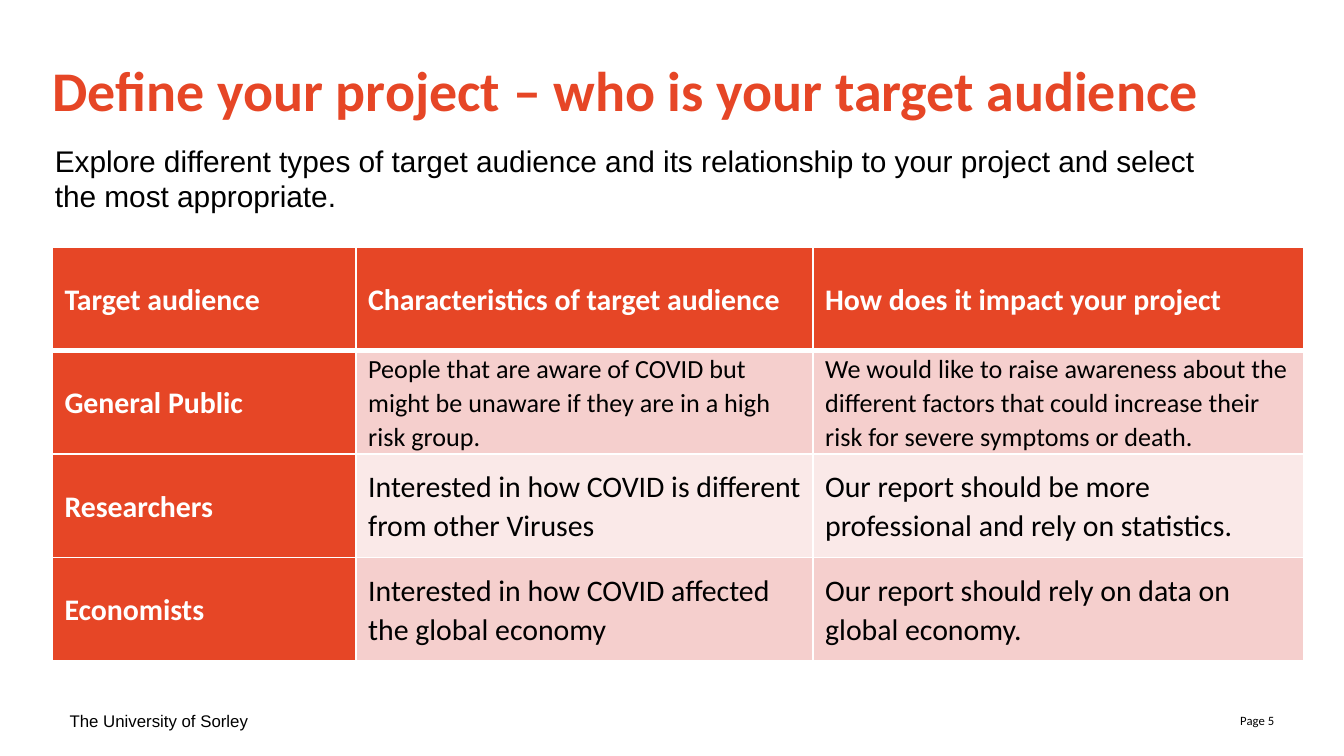
from lxml import etree
from pptx import Presentation
from pptx.dml.color import RGBColor
from pptx.enum import text
from pptx.oxml.ns import qn
from pptx.util import Inches, Pt

ORANGE = RGBColor(0xE6, 0x46, 0x26)
ROSE = RGBColor(0xF5, 0xCF, 0xCD)
BLUSH = RGBColor(0xFA, 0xE9, 0xE8)
WHITE = RGBColor(0xFF, 0xFF, 0xFF)
BLACK = RGBColor(0, 0, 0)

ROWS = [
    ("Target audience", "Characteristics of target audience", "How does it impact your project"),
    ("General Public",
     "People that are aware of COVID but might be unaware if they are in a high risk group.",
     "We would like to raise awareness about the different factors that could increase "
     "their risk for severe symptoms or death."),
    ("Researchers", "Interested in how COVID is different from other Viruses",
     "Our report should be more professional and rely on statistics."),
    ("Economists", "Interested in how COVID affected the global economy",
     "Our report should rely on data on global economy."),
]
COL_WIDTHS = (2.26, 3.4, 3.65)
ROW_HEIGHT = 0.77


def add_run(p, words, size, font="Calibri", color=BLACK, bold=False):
    r = p.add_run()
    r.text = words
    r.font.size, r.font.name, r.font.bold = Pt(size), font, bold
    r.font.color.rgb = color


def add_text(s, box, lines, size, anchor=text.MSO_ANCHOR.TOP, align=text.PP_ALIGN.LEFT,
             inset=None, wrap=True, **style):
    tf = s.shapes.add_textbox(*map(Inches, box)).text_frame
    tf.word_wrap, tf.vertical_anchor = wrap, anchor
    if inset is not None:
        tf.margin_left = tf.margin_top = tf.margin_right = tf.margin_bottom = Inches(inset)
    for i, line in enumerate(lines):
        p = tf.add_paragraph() if i else tf.paragraphs[0]
        p.alignment = align
        add_run(p, line, size, **style)


def add_borders(cell, bottom):
    """Draw white cell borders; they must precede the fill in the cell's XML."""
    tcPr = cell._tc.get_or_add_tcPr()
    for i, (side, width) in enumerate((("L", 1), ("R", 1), ("T", 1), ("B", bottom))):
        ln = etree.Element(qn(f"a:ln{side}"), w=str(Pt(width)))
        fill = etree.SubElement(ln, qn("a:solidFill"))
        etree.SubElement(fill, qn("a:srgbClr"), val=str(WHITE))
        tcPr.insert(i, ln)


def add_audience_table(s, left, top):
    box = (left, top, sum(COL_WIDTHS), ROW_HEIGHT * len(ROWS))
    table = s.shapes.add_table(len(ROWS), len(COL_WIDTHS), *map(Inches, box)).table
    for column, width in zip(table.columns, COL_WIDTHS):
        column.width = Inches(width)
    for i, row in enumerate(ROWS):
        table.rows[i].height = Inches(ROW_HEIGHT)
        for j, words in enumerate(row):
            cell = table.cell(i, j)
            heading = i == 0 or j == 0
            cell.fill.solid()
            cell.fill.fore_color.rgb = ORANGE if heading else ROSE if i % 2 else BLUSH
            cell.vertical_anchor = text.MSO_ANCHOR.MIDDLE
            cell.margin_left = cell.margin_right = Inches(0.09)
            cell.margin_top = cell.margin_bottom = 0
            add_borders(cell, 3 if i == 0 else 1)
            p = cell.text_frame.paragraphs[0]
            p.line_spacing = 1.07
            add_run(p, words, 14 if i == 1 and not heading else 16,
                    color=WHITE if heading else BLACK, bold=heading)


def add_header(s, left, top):
    add_text(s, (left, top, 9.22, 0.53), ["Define your project – who is your target audience"],
             30, inset=0, color=ORANGE, bold=True)
    add_text(s, (left - 0.08, top + 0.6, 8.86, 0.91),
             ["Explore different types of target audience and its relationship to your project and select",
              "the most appropriate."], 16, font="Arial", wrap=False)


def add_footer(s, left, top, width):
    w, h = 2.33, 0.3
    middle = text.MSO_ANCHOR.MIDDLE
    add_text(s, (left, top, w, h), ["The University of Sorley"], 9, middle, font="Arial")
    add_text(s, (left + width - w, top, w, h), ["Page 5"], 6.8, middle, text.PP_ALIGN.RIGHT)


def main():
    prs = Presentation()
    prs.slide_width = Inches(10)
    prs.slide_height = prs.slide_width * 9 // 16
    s = prs.slides.add_slide(prs.slide_layouts[6])
    add_header(s, 0.39, 0.41)
    add_audience_table(s, 0.39, 1.84)
    add_footer(s, 0.42, 5.21, 9.16)
    prs.save("out.pptx")


if __name__ == "__main__":
    main()
